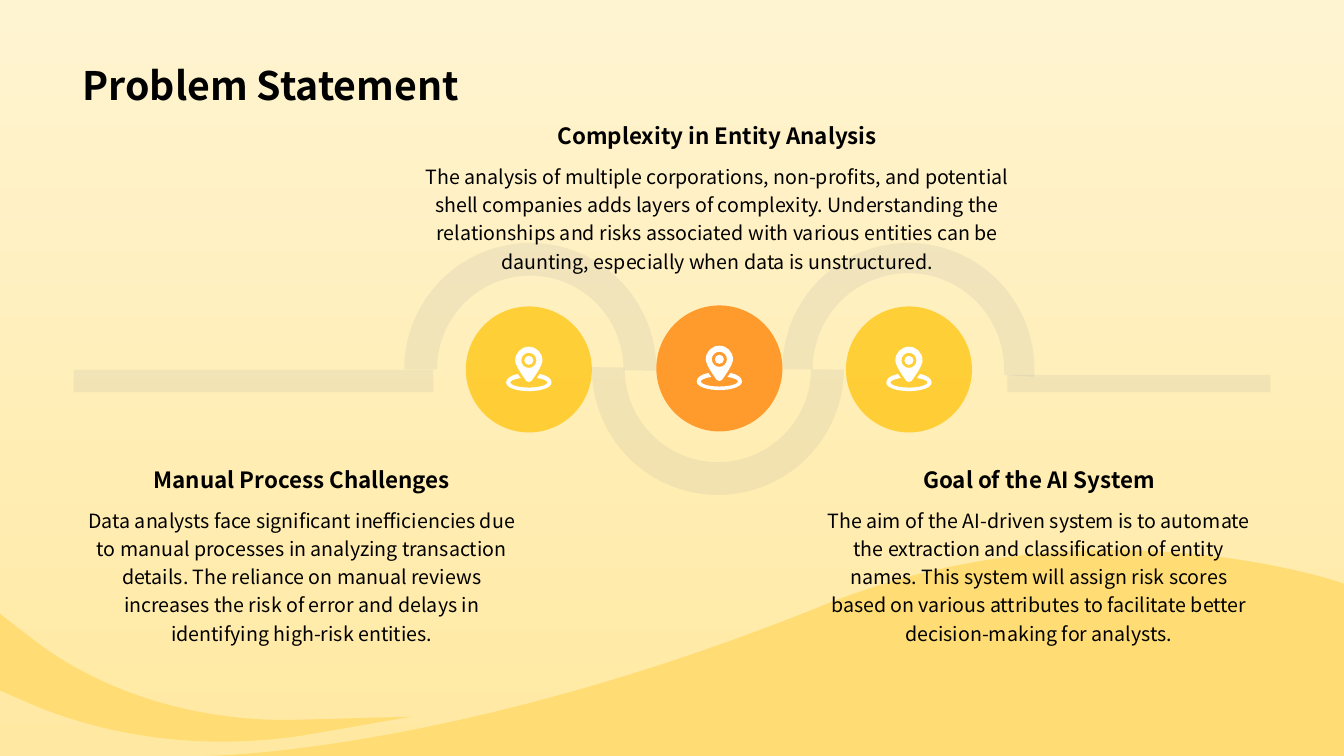
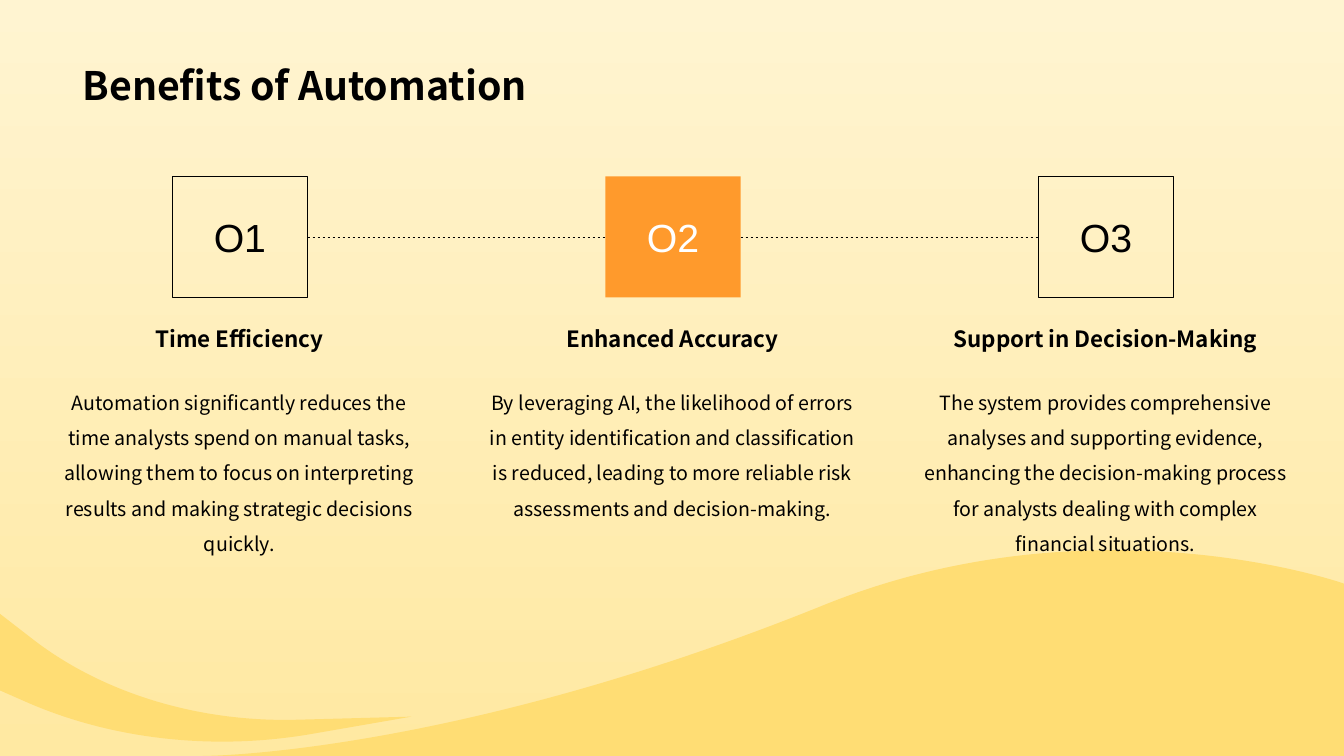
"""Build two slides on automated entity analysis over a shared wave background."""
import lxml.etree
import pptx
import pptx.dml.color
import pptx.enum.dml
import pptx.enum.shapes
import pptx.enum.text
import pptx.oxml.ns
import pptx.util

Inches = pptx.util.Inches
Pt = pptx.util.Pt
RGBColor = pptx.dml.color.RGBColor
SHAPE = pptx.enum.shapes.MSO_SHAPE
ANCHOR = pptx.enum.text.MSO_ANCHOR
ALIGN = pptx.enum.text.PP_ALIGN
AUTO_SIZE = pptx.enum.text.MSO_AUTO_SIZE

BLACK = RGBColor(0x00, 0x00, 0x00)
WHITE = RGBColor(0xFF, 0xFF, 0xFF)
SAND = RGBColor(0xFF, 0xE9, 0xA2)
CREAM = RGBColor(0xFF, 0xF4, 0xD1)
WAVE = RGBColor(0xFF, 0xDD, 0x74)
YELLOW = RGBColor(0xFF, 0xC7, 0x17)
ORANGE = RGBColor(0xFF, 0x9A, 0x2C)
SLATE = RGBColor(0x77, 0x84, 0x95)

TEXT_FONT = "Noto Sans CJK SC"
NUMBER_FONT = "Arial"

WAVES = [
    ((2.01, 5.46, 11.33, 2.04),
     [[(8.18, 6)], [(10.86, 4.92), (13.33, 5.79), (13.33, 5.79)], [(13.33, 7.5)],
      [(2.01, 7.5)], [(2.01, 7.5), (4.47, 7.5), (8.18, 6)]]),
    ((0, 6.09, 4.08, 1.27),
     [[(0, 6.09)], [(0.31, 6.33)], [(1, 6.87), (1.96, 7.17), (2.96, 7.14)],
      [(4.08, 7.11)], [(3.1, 7.28)], [(2.13, 7.45), (1.11, 7.34), (0.25, 6.96)],
      [(0, 6.85)], [(0, 6.09)]]),
]

PIN_SCALE = 0.01
PIN_WIDTH, PIN_HEIGHT, PIN_OFFSET = 0.45, 0.44, 0.4
PIN_RIGHT_HALVES = [
    [(0, 40.5), (12, 40.5), (18.5, 37.5), (18.5, 35.5), (18.5, 34), (15, 32), (8, 31),
     (9, 30), (10, 28), (11, 27), (18, 28.5), (22.5, 31.5), (22.5, 35.5),
     (22.5, 41), (11, 44), (0, 44)],
    [(0, 9), (2.5, 9), (4.5, 11), (4.5, 13.5), (4.5, 16), (2.5, 18), (0, 18)],
    [(0, 6), (4.1, 6), (7.5, 9.4), (7.5, 13.5), (7.5, 17.6), (4.1, 21), (0, 21)],
    [(0, 0), (7.5, 0), (13.5, 6), (13.5, 13.5), (13.5, 18.5), (6.5, 28.5), (2.5, 34),
     (2, 34.5), (1, 35), (0, 35)],
]

PROBLEM_TITLE = "Problem Statement"
PROBLEMS = [
    ("Manual Process Challenges",
     "Data analysts face significant inefficiencies due to manual processes in "
     "analyzing transaction details. The reliance on manual reviews increases the "
     "risk of error and delays in identifying high-risk entities.",
     (0.73, 4.57, 4.53)),
    ("Complexity in Entity Analysis",
     "The analysis of multiple corporations, non-profits, and potential shell "
     "companies adds layers of complexity. Understanding the relationships and risks "
     "associated with various entities can be daunting, especially when data is "
     "unstructured.",
     (4.08, 1.16, 6.07)),
    ("Goal of the AI System",
     "The aim of the AI-driven system is to automate the extraction and "
     "classification of entity names. This system will assign risk scores based on "
     "various attributes to facilitate better decision-making for analysts.",
     (8.04, 4.57, 4.53)),
]
ARCS = [
    ((4.01, 2.41, 2.5, 2.51), (108, 0.34, 0.13), 0),
    ((7.76, 2.41, 2.5, 2.51), (108, 2, 0.12), 0),
    ((5.87, 2.4, 2.5, 2.51), (108.33, 0.34, 0.13), 180),
]
BARS = [(0.73, 3.67, 3.57, 0.22), (9.99, 3.72, 2.61, 0.17)]
CIRCLES = [(4.62, 3.04, YELLOW, 80), (6.51, 3.03, ORANGE, 100), (8.39, 3.04, YELLOW, 80)]
CIRCLE_SIZE = 1.25

BENEFITS_TITLE = "Benefits of Automation"
BENEFITS = [
    ("O1", "Time Efficiency",
     "Automation significantly reduces the time analysts spend on manual tasks, "
     "allowing them to focus on interpreting results and making strategic decisions "
     "quickly."),
    ("O2", "Enhanced Accuracy",
     "By leveraging AI, the likelihood of errors in entity identification and "
     "classification is reduced, leading to more reliable risk assessments and "
     "decision-making."),
    ("O3", "Support in Decision-Making",
     "The system provides comprehensive analyses and supporting evidence, enhancing "
     "the decision-making process for analysts dealing with complex financial "
     "situations."),
]
HIGHLIGHTED = "O2"
FIRST_COLUMN, LAST_COLUMN, COLUMN_WIDTH = 0.39, 8.98, 3.97
BOX_OFFSET, BOX_TOP, BOX_WIDTH, BOX_HEIGHT = 1.32, 1.75, 1.34, 1.2


def paint(shape, color, opacity=100):
    """Give a shape a flat fill without line or shadow."""
    shape.shadow.inherit = False
    shape.line.fill.background()
    shape.fill.solid()
    shape.fill.fore_color.rgb = color
    if opacity < 100:
        tag = pptx.oxml.ns.qn("a:srgbClr")
        for color_element in shape.element.spPr.iter(tag):
            lxml.etree.SubElement(color_element, pptx.oxml.ns.qn("a:alpha"),
                                  val=str(opacity * 1000))


def add_outline(slide, place, contours, color):
    """Draw contours of line and cubic segments, in inches, as one freeform."""
    left, top, width, height = map(Inches, place)
    right, bottom = left + width, top + height
    builder = slide.shapes.build_freeform(left, top)
    builder.add_line_segments([(right, top), (right, bottom), (left, bottom)])
    shape = builder.convert_to_shape()
    outline = next(shape.element.spPr.iter(pptx.oxml.ns.qn("a:path")))
    for command in list(outline):
        outline.remove(command)
    for contour in contours:
        for index, segment in enumerate(contour):
            tag = "a:cubicBezTo" if len(segment) == 3 else "a:lnTo"
            command = lxml.etree.SubElement(
                outline, pptx.oxml.ns.qn(tag if index else "a:moveTo"))
            for x, y in segment:
                lxml.etree.SubElement(command, pptx.oxml.ns.qn("a:pt"),
                                      x=str(Inches(x) - left), y=str(Inches(y) - top))
        lxml.etree.SubElement(outline, pptx.oxml.ns.qn("a:close"))
    paint(shape, color)
    return shape


def add_shape(slide, kind, place, color, opacity=100):
    """Add a painted preset shape at a place in inches."""
    shape = slide.shapes.add_shape(kind, *map(Inches, place))
    paint(shape, color, opacity)
    return shape


def format_paragraph(paragraph, size, color=BLACK, bold=False, font=TEXT_FONT,
                     align=ALIGN.CENTER):
    """Set the alignment and font of a paragraph."""
    paragraph.alignment = align
    paragraph.font.name = font
    paragraph.font.size = Pt(size)
    paragraph.font.bold = bold
    paragraph.font.color.rgb = color


def add_text(slide, text, place, size, bold=False, anchor=ANCHOR.TOP, spacing=None):
    """Add a centred, growing text box."""
    frame = slide.shapes.add_textbox(*map(Inches, place)).text_frame
    frame.word_wrap = True
    frame.auto_size = AUTO_SIZE.SHAPE_TO_FIT_TEXT
    frame.vertical_anchor = anchor
    paragraph = frame.paragraphs[0]
    paragraph.text = text
    paragraph.line_spacing = spacing
    format_paragraph(paragraph, size, bold=bold)


def add_titled_slide(presentation, layout, title):
    """Add a slide with the shared title style."""
    slide = presentation.slides.add_slide(layout)
    placeholder = slide.shapes.title
    placeholder.left, placeholder.top = Inches(0.72), Inches(0.15)
    placeholder.width, placeholder.height = Inches(11.88), Inches(0.98)
    frame = placeholder.text_frame
    frame.text = title
    frame.auto_size = AUTO_SIZE.NONE
    frame.vertical_anchor = ANCHOR.BOTTOM
    format_paragraph(frame.paragraphs[0], 28, bold=True, align=ALIGN.LEFT)
    return slide


def style_master(presentation):
    """Put the gradient on the master and clear the layout's footer placeholders."""
    fill = presentation.slide_master.background.fill
    fill.gradient()
    fill.gradient_angle = 90
    for stop, color in zip(fill.gradient_stops, (SAND, CREAM)):
        stop.color.rgb = color
    layout = presentation.slide_layouts.get_by_name("Title Only")
    for placeholder in list(layout.placeholders)[1:]:
        placeholder.element.getparent().remove(placeholder.element)
    return layout


def move_waves_to_layout(slide, layout):
    """Draw the waves and move them behind everything on the layout."""
    for position, (place, contour) in enumerate(WAVES, start=2):
        shape = add_outline(slide, place, [contour], WAVE)
        shape.name = f"Wave {position - 1}"
        shape.element.nvSpPr.cNvPr.set("id", str(position + 8))
        layout.shapes.element.insert(position, shape.element)


def add_pin(slide, center, top):
    """Draw a white map pin, mirrored about its vertical axis."""
    contours = []
    for half in PIN_RIGHT_HALVES:
        mirrored = [(-x, y) for x, y in reversed(half[:-1])]
        points = [(center + x * PIN_SCALE, top + y * PIN_SCALE) for x, y in half + mirrored]
        curves = [points[index:index + 3] for index in range(1, len(points), 3)]
        contours.append([points[:1]] + curves)
    place = (center - PIN_WIDTH / 2, top, PIN_WIDTH, PIN_HEIGHT)
    add_outline(slide, place, contours, WHITE)


def fill_problem_slide(slide):
    """Draw the winding road with its three stops and texts."""
    for place, adjustments, rotation in ARCS:
        arc = add_shape(slide, SHAPE.BLOCK_ARC, place, SLATE, 10)
        arc.rotation = rotation
        for index, value in enumerate(adjustments):
            arc.adjustments[index] = value
    for place in BARS:
        add_shape(slide, SHAPE.RECTANGLE, place, SLATE, 10)
    for (left, top, color, opacity), problem in zip(CIRCLES, PROBLEMS):
        add_shape(slide, SHAPE.OVAL, (left, top, CIRCLE_SIZE, CIRCLE_SIZE), color, opacity)
        add_pin(slide, left + CIRCLE_SIZE / 2, top + PIN_OFFSET)
        heading, body, (text_left, text_top, width) = problem
        add_text(slide, body, (text_left, text_top + 0.38, width, 0.72), 14, spacing=1.2)
        add_text(slide, heading, (text_left, text_top, width, 0.37), 16, True,
                 ANCHOR.BOTTOM)


def fill_benefits_slide(slide):
    """Draw the numbered boxes, their texts and the dashed links."""
    step = (LAST_COLUMN - FIRST_COLUMN) / (len(BENEFITS) - 1)
    boxes = []
    for index, (number, heading, body) in enumerate(BENEFITS):
        left = FIRST_COLUMN + index * step
        place = (left + BOX_OFFSET, BOX_TOP, BOX_WIDTH, BOX_HEIGHT)
        box = add_shape(slide, SHAPE.RECTANGLE, place, ORANGE)
        highlighted = number == HIGHLIGHTED
        if not highlighted:
            box.fill.background()
            box.line.color.rgb = BLACK
            box.line.width = Pt(1)
        box.text_frame.text = number
        box.text_frame.vertical_anchor = ANCHOR.MIDDLE
        format_paragraph(box.text_frame.paragraphs[0], 28,
                         WHITE if highlighted else BLACK, font=NUMBER_FONT)
        boxes.append(box)
        add_text(slide, heading, (left, 3.18, COLUMN_WIDTH, 0.37), 16, True)
        add_text(slide, body, (left, 3.71, COLUMN_WIDTH, 1.29), 14, spacing=1.5)
    for box, next_box in zip(boxes, boxes[1:]):
        link = slide.shapes.add_connector(pptx.enum.shapes.MSO_CONNECTOR.STRAIGHT, 0, 0, 0, 0)
        link.begin_connect(box, 3)
        link.end_connect(next_box, 1)
        link.line.color.rgb = BLACK
        link.line.width = Pt(0.5)
        link.line.dash_style = pptx.enum.dml.MSO_LINE.DASH
        lxml.etree.SubElement(link.element.spPr, pptx.oxml.ns.qn("a:effectLst"))


def main():
    """Build and save the presentation."""
    presentation = pptx.Presentation()
    presentation.slide_width = Inches(13.33)
    presentation.slide_height = Inches(7.5)
    layout = style_master(presentation)
    problem_slide = add_titled_slide(presentation, layout, PROBLEM_TITLE)
    move_waves_to_layout(problem_slide, layout)
    fill_problem_slide(problem_slide)
    fill_benefits_slide(add_titled_slide(presentation, layout, BENEFITS_TITLE))
    presentation.save("out.pptx")


if __name__ == "__main__":
    main()
